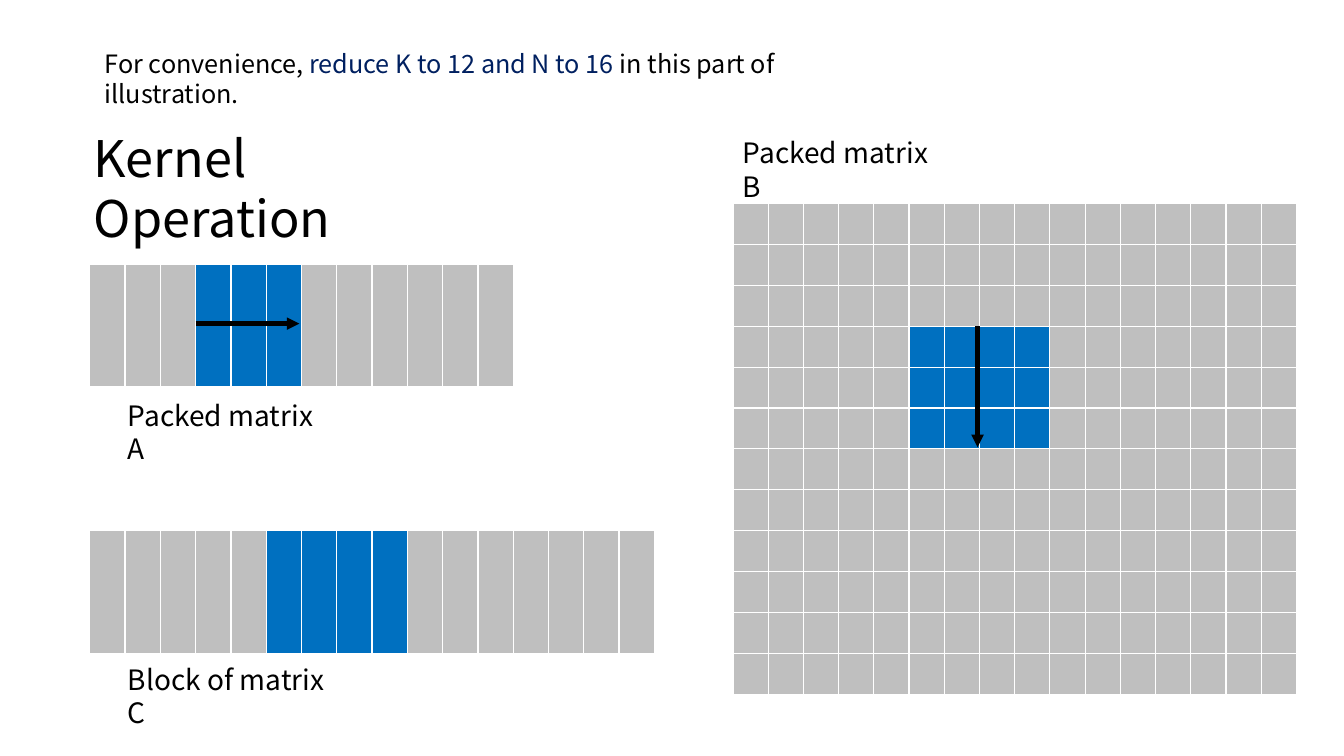
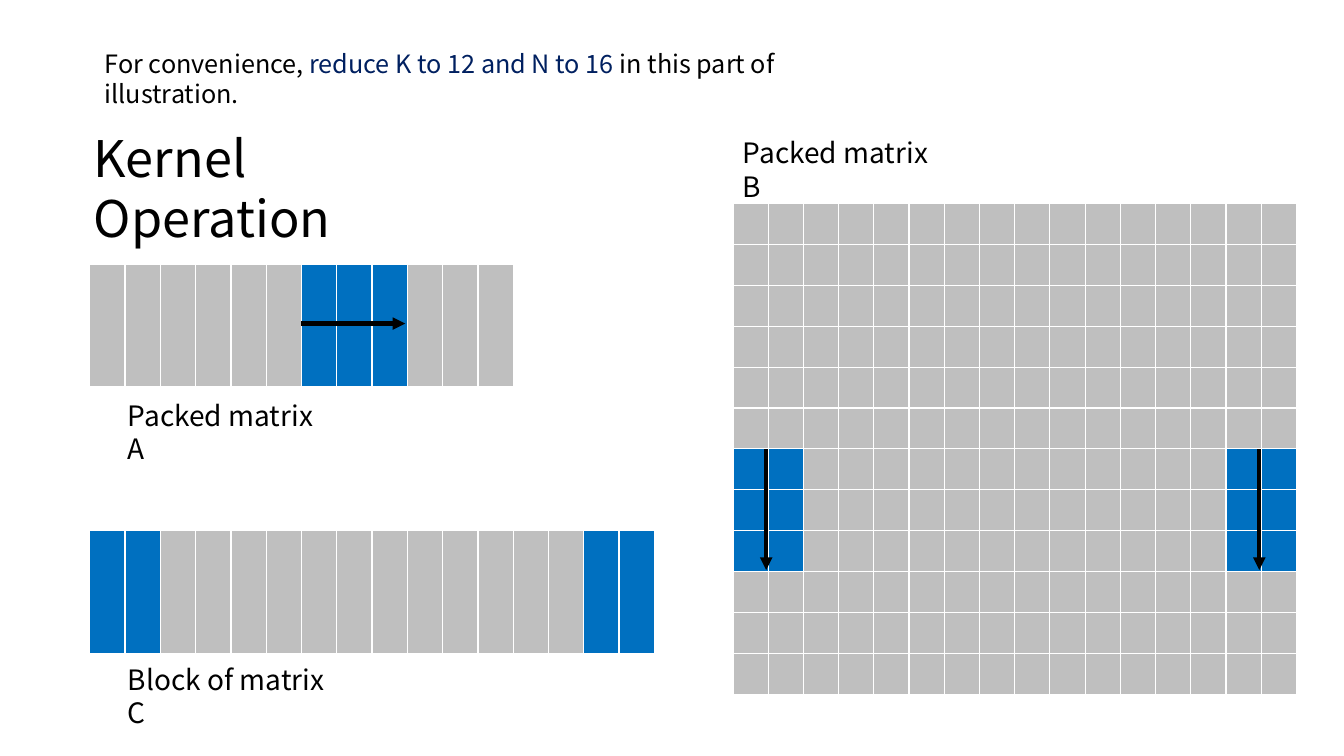
from lxml import etree
from pptx import Presentation
from pptx.dml.color import RGBColor
from pptx.enum import shapes, text
from pptx.oxml import ns
from pptx.util import Inches, Pt

BLACK = RGBColor(0x00, 0x00, 0x00)
WHITE = RGBColor(0xFF, 0xFF, 0xFF)
GRAY = RGBColor(0xBF, 0xBF, 0xBF)
BLUE = RGBColor(0x00, 0x70, 0xC0)
NAVY = RGBColor(0x00, 0x20, 0x60)
FONT = "Noto Sans CJK SC"

# Blocks as left, top, width, height
TITLE_BOX = (0.83, 1.21, 3.89, 0.71)
NOTE_BOX = (0.94, 0.43, 7.79, 0.4)
MATRIX_A = (0.89, 2.62, 4.2, 1.23)
MATRIX_B = (7.27, 2.02, 5.59, 4.87)
MATRIX_C = (0.89, 5.26, 5.6, 1.24)
DEPTH, WIDTH = 12, 16  # K and N
STEP = 3  # slices of K in one kernel step

NOTE = [
    ("For convenience, ", BLACK),
    ("reduce K to 12 and N to 16 ", NAVY),
    ("in this part of illustration.", BLACK),
]
LABELS = [
    ("Packed matrix A", (1.17, 3.9, 2.14, 0.44)),
    ("Packed matrix B", (7.27, 1.3, 2.12, 0.44)),
    ("Block of matrix C", (1.17, 6.52, 2.24, 0.44)),
]
# First slice of K, then (first column, column count) of each span of N
KERNEL_STEPS = [
    (3, [(5, 4)]),
    (6, [(0, 2), (14, 2)]),
]


def write_text(shape, spans, size):
    """Fill a text shape with coloured spans in one left-aligned paragraph."""
    frame = shape.text_frame
    frame_format = {
        "word_wrap": True,
        "auto_size": text.MSO_AUTO_SIZE.NONE,
        "vertical_anchor": text.MSO_ANCHOR.TOP,
    }
    for name, value in frame_format.items():
        setattr(frame, name, value)
    para = frame.paragraphs[0]
    para.alignment = text.PP_ALIGN.LEFT
    for words, color in spans:
        span = para.add_run()
        span.text = words
        for name, value in {"name": FONT, "size": Pt(size)}.items():
            setattr(span.font, name, value)
        span.font.color.rgb = color


def add_text(page, box, spans, size):
    write_text(page.shapes.add_textbox(*map(Inches, box)), spans, size)


def add_title(page, box, words):
    title = page.shapes.title
    for name, value in zip(("left", "top", "width", "height"), box):
        setattr(title, name, Inches(value))
    write_text(title, [(words, BLACK)], 36)


def set_borders(cell, bottom):
    """Draw white cell borders; must run before the cell fill is set."""
    properties = cell._tc.get_or_add_tcPr()
    for side, points in (("L", 1), ("R", 1), ("T", 1), ("B", bottom)):
        line = etree.SubElement(properties, ns.qn("a:ln" + side), w=str(Pt(points)))
        fill = etree.SubElement(line, ns.qn("a:solidFill"))
        etree.SubElement(fill, ns.qn("a:srgbClr"), val=str(WHITE))


def add_matrix(page, box, rows, columns, active, bottom=1):
    """Add a grid whose active (row, column) cells are blue."""
    table = page.shapes.add_table(rows, columns, *map(Inches, box)).table
    table.first_row = table.horz_banding = False
    for column in table.columns:
        column.width = Inches(box[2] / columns)
    for row_index, row in enumerate(table.rows):
        row.height = Inches(box[3] / rows)
        for column_index, cell in enumerate(row.cells):
            for side in ("left", "right", "top", "bottom"):
                setattr(cell, "margin_" + side, 0)
            set_borders(cell, bottom)
            cell.fill.solid()
            is_active = (row_index, column_index) in active
            cell.fill.fore_color.rgb = BLUE if is_active else GRAY


def add_arrow(page, x1, y1, x2, y2):
    arrow = page.shapes.add_connector(
        shapes.MSO_CONNECTOR.STRAIGHT, *map(Inches, (x1, y1, x2, y2)))
    arrow.line.color.rgb = BLACK
    arrow.line.width = Pt(3)
    line = arrow.line._get_or_add_ln()
    etree.SubElement(line, ns.qn("a:tailEnd"), type="triangle")
    etree.SubElement(arrow._element.spPr, ns.qn("a:effectLst"))


def add_matrix_a(page, box, first):
    left, top, width, height = box
    slices = range(first, first + STEP)
    add_matrix(page, box, 1, DEPTH, {(0, k) for k in slices}, bottom=3)
    start = left + first * width / DEPTH
    middle = top + 0.48 * height
    add_arrow(page, start, middle, start + 1.03, middle)


def add_matrix_b(page, box, first, spans, active_columns):
    left, top, width, height = box
    active = {(k, n) for k in range(first, first + STEP) for n in active_columns}
    add_matrix(page, box, DEPTH, WIDTH, active)
    start = top + first * height / DEPTH
    for column, count in spans:
        center = left + (column + count / 2) * width / WIDTH - 0.02
        add_arrow(page, center, start, center, start + 1.2)


def add_kernel_slide(deck, first, spans):
    page = deck.slides.add_slide(deck.slide_layouts[5])
    active_columns = [n for column, count in spans
                      for n in range(column, column + count)]

    # Heading and labels
    add_title(page, TITLE_BOX, "Kernel Operation")
    add_text(page, NOTE_BOX, NOTE, 18)
    for words, box in LABELS:
        add_text(page, box, [(words, BLACK)], 20)

    # Matrices
    add_matrix_a(page, MATRIX_A, first)
    add_matrix(page, MATRIX_C, 1, WIDTH, {(0, n) for n in active_columns}, bottom=3)
    add_matrix_b(page, MATRIX_B, first, spans, active_columns)


def main():
    deck = Presentation()
    deck.slide_width, deck.slide_height = Inches(13.33), Inches(7.5)
    for first, spans in KERNEL_STEPS:
        add_kernel_slide(deck, first, spans)
    deck.save("out.pptx")


if __name__ == "__main__":
    main()
